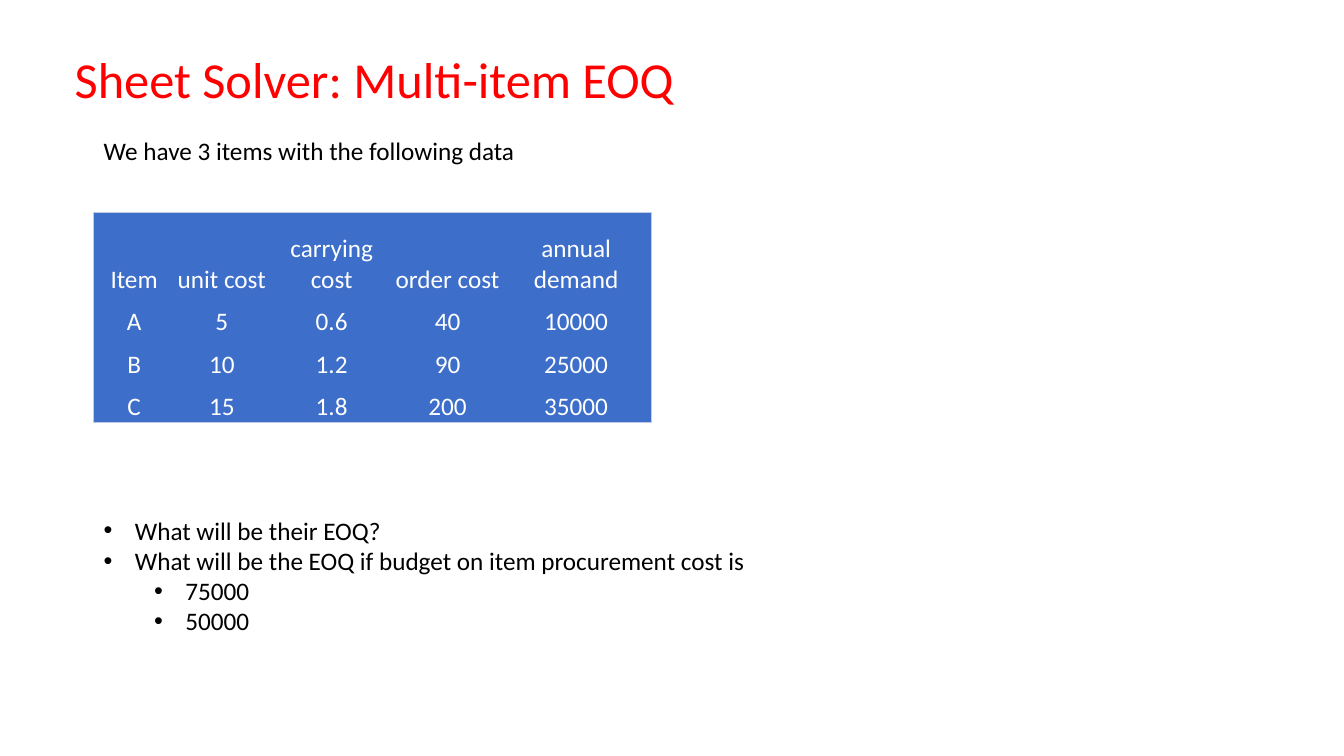
"""Build the multi-item EOQ exercise slide."""
from dataclasses import dataclass

from lxml import etree
from pptx import Presentation
from pptx.dml.color import RGBColor
from pptx.enum.text import MSO_ANCHOR, PP_ALIGN
from pptx.oxml.ns import qn
from pptx.util import Inches, Pt

LEFT, CENTER = PP_ALIGN.LEFT, PP_ALIGN.CENTER
MIDDLE, BOTTOM = MSO_ANCHOR.MIDDLE, MSO_ANCHOR.BOTTOM
NO_STYLE = "{2D5ABB26-0587-4C30-8999-92F81FD0307C}"

TITLE = "Sheet Solver: Multi-item EOQ"
INTRO = "We have 3 items with the following data"
ITEMS = [
    ("Item", "unit cost", "carrying cost", "order cost", "annual demand"),
    ("A", "5", "0.6", "40", "10000"),
    ("B", "10", "1.2", "90", "25000"),
    ("C", "15", "1.8", "200", "35000"),
]
QUESTIONS = [
    (0, "What will be their EOQ?"),
    (0, "What will be the EOQ if budget on item procurement cost is"),
    (1, "75000"),
    (1, "50000"),
]
COL_WIDTHS = (0.8, 0.94, 1.24, 1.06, 1.49)
ROW_HEIGHTS = (0.82, 0.42, 0.42, 0.42)
BODY_LEFT, BODY_WIDTH = 0.93, 7.38
HANG, LEVEL_STEP = 0.31, 0.5


@dataclass(frozen=True)
class Theme:
    """Colours and type sizes."""
    font: str = "Calibri"
    title_size: int = 36
    body_size: int = 18
    title: str = "FF0000"
    text: str = "000000"
    cell_text: str = "FFFFFF"
    cell: str = "3D6EC9"
    border: str = "C1C9E4"


THEME = Theme()


def add_run(p, text, size, color):
    """Add one formatted run to a paragraph."""
    r = p.add_run()
    r.text = text
    r.font.name = THEME.font
    r.font.size = Pt(size)
    r.font.color.rgb = RGBColor.from_string(color)


def add_title(s):
    """Place and format the title."""
    sp = s.shapes.title
    sp.left, sp.top = Inches(0.64), Inches(0.27)
    sp.width, sp.height = Inches(11.5), Inches(1.1)
    sp.text_frame.vertical_anchor = MIDDLE
    p = sp.text_frame.paragraphs[0]
    p.alignment = LEFT
    p.line_spacing = 0.9
    add_run(p, TITLE, THEME.title_size, THEME.title)


def add_body(s, top, height):
    """Add a wrapping text box and return its text frame."""
    sp = s.shapes.add_textbox(Inches(BODY_LEFT), Inches(top),
                              Inches(BODY_WIDTH), Inches(height))
    sp.text_frame.word_wrap = True
    return sp.text_frame


def add_bullet(p, level):
    """Give a paragraph a hanging bullet for its level."""
    p.level = level
    pPr = p._p.get_or_add_pPr()
    pPr.set("marL", str(Inches(HANG + level * LEVEL_STEP)))
    pPr.set("indent", str(-Inches(HANG)))
    etree.SubElement(pPr, qn("a:buFont")).set("typeface", "Arial")
    etree.SubElement(pPr, qn("a:buChar")).set("char", "•")


def set_borders(cell, outer):
    """Draw the cell's outer edges and clear its inner ones."""
    tcPr = cell._tc.get_or_add_tcPr()
    for side, shown in outer.items():
        ln = etree.SubElement(tcPr, qn(f"a:ln{side}"), w=str(Pt(0.5)))
        if shown:
            fill = etree.SubElement(ln, qn("a:solidFill"))
            etree.SubElement(fill, qn("a:srgbClr"), val=THEME.border)
        else:
            etree.SubElement(ln, qn("a:noFill"))


def add_items(s):
    """Add the item data table."""
    rows, cols = len(ITEMS), len(COL_WIDTHS)
    table = s.shapes.add_table(
        rows, cols, Inches(BODY_LEFT), Inches(2.11),
        Inches(sum(COL_WIDTHS)), Inches(sum(ROW_HEIGHTS))).table
    table._tbl.tblPr.find(qn("a:tableStyleId")).text = NO_STYLE
    for column, width in zip(table.columns, COL_WIDTHS):
        column.width = Inches(width)
    for row, height in zip(table.rows, ROW_HEIGHTS):
        row.height = Inches(height)
    for i, values in enumerate(ITEMS):
        for j, value in enumerate(values):
            cell = table.cell(i, j)
            set_borders(cell, {"L": j == 0, "R": j == cols - 1,
                               "T": i == 0, "B": i == rows - 1})
            cell.fill.solid()
            cell.fill.fore_color.rgb = RGBColor.from_string(THEME.cell)
            cell.margin_left = cell.margin_right = cell.margin_top = Inches(0.01)
            cell.margin_bottom = 0
            cell.vertical_anchor = BOTTOM
            p = cell.text_frame.paragraphs[0]
            p.alignment = CENTER
            add_run(p, value, THEME.body_size, THEME.cell_text)


def main():
    """Build and save the slide."""
    prs = Presentation()
    prs.slide_width, prs.slide_height = Inches(13.33), Inches(7.5)
    s = prs.slides.add_slide(prs.slide_layouts[5])
    add_title(s)
    add_items(s)
    intro = add_body(s, 1.29, 0.4)
    add_run(intro.paragraphs[0], INTRO, THEME.body_size, THEME.text)
    tf = add_body(s, 5.06, 1.31)
    for i, (level, text) in enumerate(QUESTIONS):
        p = tf.add_paragraph() if i else tf.paragraphs[0]
        add_bullet(p, level)
        add_run(p, text, THEME.body_size, THEME.text)
    prs.save("out.pptx")


if __name__ == "__main__":
    main()
